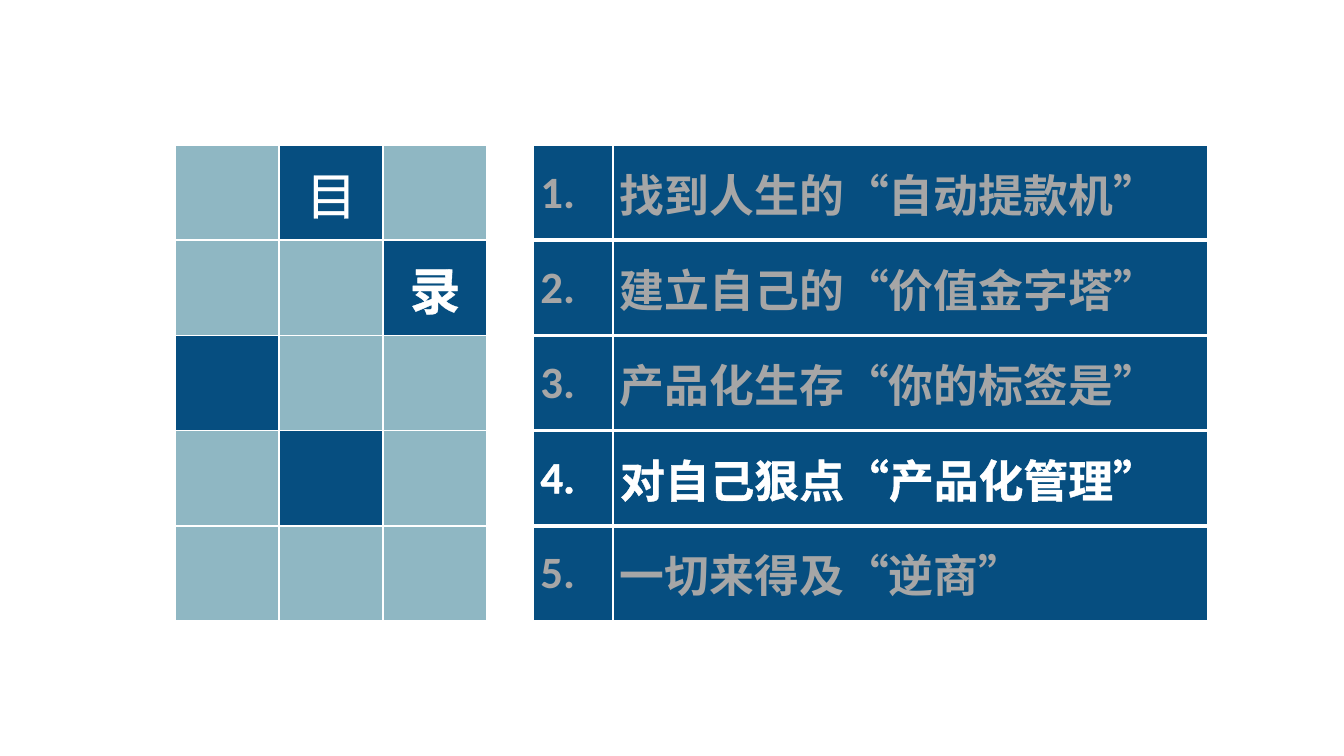
from lxml import etree
from pptx import Presentation
from pptx.dml.color import RGBColor
from pptx.enum import text
from pptx.oxml import ns
from pptx.util import Inches, Pt

WHITE = RGBColor(0xFF, 0xFF, 0xFF)
NAVY = RGBColor(0x06, 0x4E, 0x80)
TEAL = RGBColor(0x8F, 0xB7, 0xC3)
GREY = RGBColor(0xA6, 0xA6, 0xA6)
HAN = "Noto Sans CJK SC"
LATIN = "Calibri"

TOPICS = [
    "找到人生的“自动提款机”",
    "建立自己的“价值金字塔”",
    "产品化生存“你的标签是”",
    "对自己狠点“产品化管理”",
    "一切来得及“逆商”",
]
ACTIVE = 3
DARK = {(0, 1), (1, 2), (2, 0), (3, 1)}
TITLE = {(0, 1): "目", (1, 2): "录"}
WIDTHS = [1.03, 1.03, 1.03, 0.46, 0.79, 5.9]
GAP, NUM, TOPIC = 3, 4, 5


def add_line(parent, tag, width, color):
    line = etree.SubElement(parent, ns.qn(tag), w=str(Pt(width)))
    fill = etree.SubElement(line, ns.qn("a:solidFill"))
    etree.SubElement(fill, ns.qn("a:srgbClr"), val=str(color))


def write(cell, words, size, face, color, bold, align):
    cell.vertical_anchor = text.MSO_ANCHOR.MIDDLE
    cell.margin_left = cell.margin_right = Inches(0.07)
    cell.margin_top = cell.margin_bottom = Inches(0.05)
    para = cell.text_frame.paragraphs[0]
    para.alignment = align
    run = para.add_run()
    run.text = words
    font = run.font
    font.size, font.bold = Pt(size), bold
    props = run._r.get_or_add_rPr()
    props.set("lang", "zh-CN")
    add_line(props, "a:ln", 0.75, color)
    font.color.rgb = color
    font.name = face
    etree.SubElement(props, ns.qn("a:ea"), typeface=HAN)


prs = Presentation()
prs.slide_width, prs.slide_height = Inches(13.33), Inches(7.5)
slide = prs.slides.add_slide(prs.slide_layouts[6])

# Agenda table without a banded style
frame = slide.shapes.add_table(len(TOPICS), len(WIDTHS), Inches(1.74),
                               Inches(1.44), Inches(10.25), Inches(4.72))
table = frame.table
table.first_row = table.horz_banding = False
for col, width in zip(table.columns, WIDTHS):
    col.width = Inches(width)
for row in table.rows:
    row.height = Inches(4.72 / len(TOPICS))

# Borders and fills
last = len(TOPICS) - 1
for r in range(len(TOPICS)):
    for c in range(len(WIDTHS)):
        cell = table.cell(r, c)
        edges = {"L": 1.5, "R": 1.5, "T": 1.5, "B": 1.5}
        if c >= NUM:
            edges["T"] = 3 if r > 0 else 1.5
            edges["B"] = 3 if r < last else 1.5
            del edges["R" if c == NUM else "L"]
        if r == 1 and c in (2, GAP):
            edges["R"] = 1
        if r == 1 and c in (GAP, NUM):
            edges["L"] = 1
        props = cell._tc.get_or_add_tcPr()
        for side, width in edges.items():
            add_line(props, "a:ln" + side, width, WHITE)
        cell.fill.solid()
        if c == GAP:
            shade = WHITE
        elif c >= NUM or (r, c) in DARK:
            shade = NAVY
        else:
            shade = TEAL
        cell.fill.fore_color.rgb = shade

# Title characters in the mosaic
for (r, c), sign in TITLE.items():
    write(table.cell(r, c), sign, 36, HAN, WHITE, r == 1, text.PP_ALIGN.CENTER)

# Numbered topics, with the current one in white
for r, topic in enumerate(TOPICS):
    color = WHITE if r == ACTIVE else GREY
    for c, words, face in ((NUM, f"{r + 1}.", LATIN), (TOPIC, topic, HAN)):
        write(table.cell(r, c), words, 32, face, color, True, text.PP_ALIGN.LEFT)

prs.save("out.pptx")
